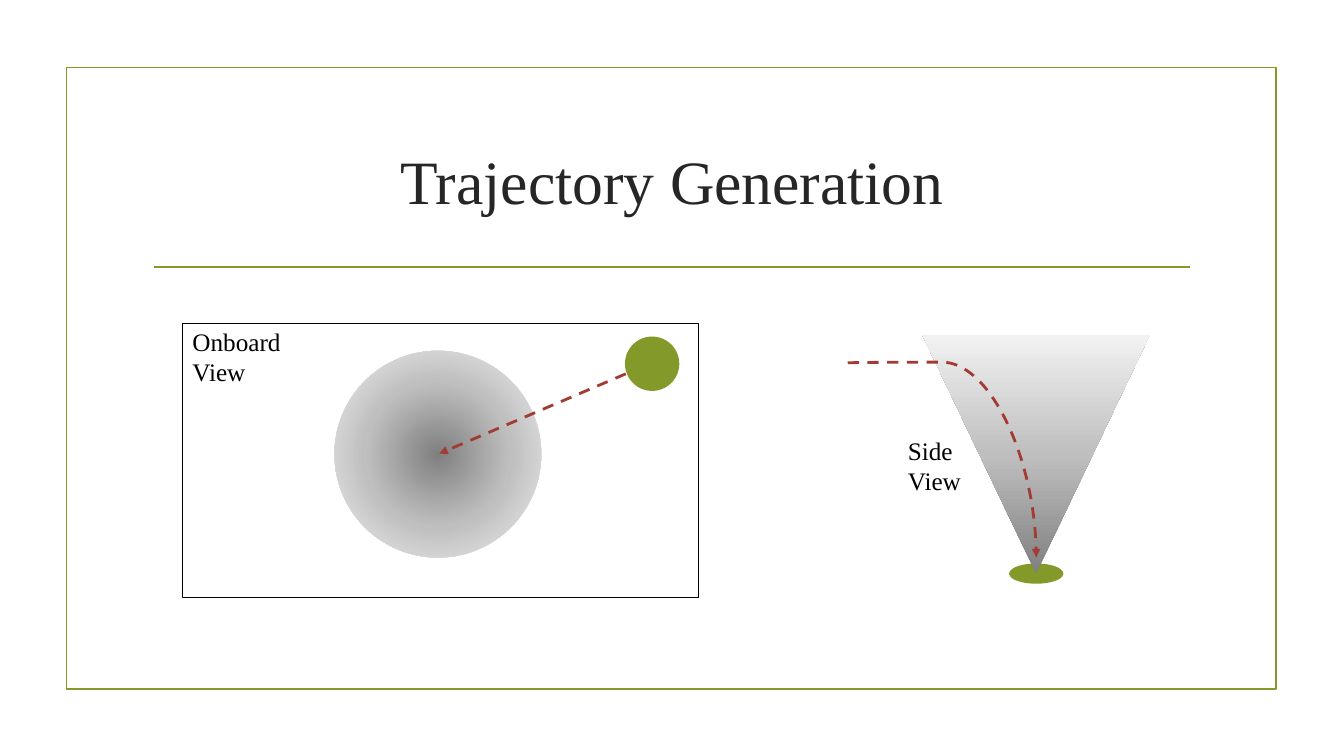
from typing import NamedTuple, Optional

from pptx import Presentation
from pptx.dml.color import RGBColor
from pptx.enum.dml import MSO_LINE_DASH_STYLE as Dash
from pptx.enum.shapes import MSO_AUTO_SHAPE_TYPE as Geom, MSO_CONNECTOR_TYPE as Conn
from pptx.enum.text import MSO_ANCHOR, PP_ALIGN
from pptx.oxml import parse_xml
from pptx.oxml.ns import nsdecls, qn
from pptx.oxml.xmlchemy import OxmlElement
from pptx.util import Cm, Pt

GREEN = RGBColor(0x83, 0x99, 0x2A)
RED = RGBColor(0xA2, 0x3C, 0x33)
BLACK = RGBColor(0, 0, 0)
TITLE_GREY = RGBColor(0x26, 0x26, 0x26)
CONE_STOPS = ((0, "808080"), (50, "BFBFBF"), (100, "F2F2F2"))
LINEAR = '<a:lin ang="5400000" scaled="0"/>'
RADIAL = ('<a:path path="circle">'
          '<a:fillToRect l="50000" t="50000" r="50000" b="50000"/></a:path>')
FONT = "Times New Roman"


class Shape(NamedTuple):
    geom: Geom
    left: float
    top: float
    width: float
    height: float
    fill: Optional[RGBColor] = None
    gradient: Optional[str] = None
    line: Optional[RGBColor] = None
    line_pt: float = 1
    rotation: float = 0


class Line(NamedTuple):
    kind: Conn
    x1: float
    y1: float
    x2: float
    y2: float
    color: RGBColor
    width_pt: float
    arrow: bool = False
    rotation: int = 0
    bend: Optional[int] = None


class Label(NamedTuple):
    text: str
    left: float
    top: float


FRAME = Shape(Geom.RECTANGLE, 1.68, 1.7, 30.48, 15.67, line=GREEN, line_pt=1.25)
TITLE_RULE = Line(Conn.STRAIGHT, 3.89, 6.73, 30, 6.73, GREEN, 1.25)
SIDE_VIEW = (
    Shape(Geom.OVAL, 25.43, 14.2, 1.37, 0.51, fill=GREEN),
    Shape(Geom.ISOSCELES_TRIANGLE, 23.24, 8.43, 5.74, 6.02, gradient=LINEAR, rotation=180),
    Line(Conn.CURVE, 26.19, 9.22, 21.29, 13.97, RED, 2, arrow=True, rotation=270, bend=-400),
)
ONBOARD_VIEW = (
    Shape(Geom.RECTANGLE, 4.6, 8.15, 13, 6.91, line=BLACK),
    Shape(Geom.OVAL, 15.75, 8.48, 1.37, 1.37, fill=GREEN, rotation=332),
    Shape(Geom.OVAL, 8.43, 8.84, 5.21, 5.21, gradient=RADIAL),
    Line(Conn.STRAIGHT, 15.77, 9.42, 11.07, 11.43, RED, 2, arrow=True),
)
LABELS = (Label("Onboard View", 4.6, 8.1), Label("Side View", 22.63, 10.85))


def set_gradient(sp, direction: str) -> None:
    """Fill with the cone greys along the given gradient direction."""
    stops = "".join(f'<a:gs pos="{pos * 1000}"><a:srgbClr val="{color}"/></a:gs>'
                    for pos, color in CONE_STOPS)
    sp.fill.gradient()
    props = sp._element.spPr
    props.replace(props.find(qn("a:gradFill")), parse_xml(
        f'<a:gradFill {nsdecls("a")} rotWithShape="1">'
        f"<a:gsLst>{stops}</a:gsLst>{direction}</a:gradFill>"))


def draw_shape(s, item: Shape) -> None:
    sp = s.shapes.add_shape(item.geom, Cm(item.left), Cm(item.top),
                            Cm(item.width), Cm(item.height))
    sp.shadow.inherit = False
    sp.rotation = item.rotation
    if item.gradient:
        set_gradient(sp, item.gradient)
    elif item.fill is not None:
        sp.fill.solid()
        sp.fill.fore_color.rgb = item.fill
    else:
        sp.fill.background()
    if item.line is not None:
        sp.line.color.rgb = item.line
        sp.line.width = Pt(item.line_pt)
    else:
        sp.line.fill.background()


def draw_line(s, item: Line) -> None:
    cxn = s.shapes.add_connector(item.kind, Cm(item.x1), Cm(item.y1),
                                 Cm(item.x2), Cm(item.y2))
    cxn.line.color.rgb = item.color
    cxn.line.width = Pt(item.width_pt)
    props = cxn._element.spPr
    if item.arrow:
        cxn.line.dash_style = Dash.DASH
        head = OxmlElement("a:tailEnd")
        head.set("type", "triangle")
        props.find(qn("a:ln")).append(head)
    if item.rotation:
        props.find(qn("a:xfrm")).set("rot", str(item.rotation * 60000))
    if item.bend is not None:
        guide = OxmlElement("a:gd")
        guide.set("name", "adj1")
        guide.set("fmla", f"val {item.bend}")
        props.find(qn("a:prstGeom")).find(qn("a:avLst")).append(guide)
    props.append(OxmlElement("a:effectLst"))


def draw(s, *items) -> None:
    for item in items:
        if isinstance(item, Shape):
            draw_shape(s, item)
        else:
            draw_line(s, item)


def format_text(tf, text: str, size: float, color: RGBColor) -> None:
    tf.text = text
    tf.word_wrap = True
    font = tf.paragraphs[0].runs[0].font
    font.name, font.size, font.color.rgb = FONT, Pt(size), color


def draw_label(s, label: Label) -> None:
    box = s.shapes.add_textbox(Cm(label.left), Cm(label.top), Cm(2.79), Cm(1.8))
    format_text(box.text_frame, label.text, 18, BLACK)


def set_title(s, text: str) -> None:
    title = s.shapes.title
    title.left, title.top = Cm(3.61), Cm(2.72)
    title.width, title.height = Cm(26.67), Cm(3.63)
    tf = title.text_frame
    format_text(tf, text, 44, TITLE_GREY)
    tf.vertical_anchor = MSO_ANCHOR.MIDDLE
    tf.paragraphs[0].alignment = PP_ALIGN.CENTER


def main() -> None:
    prs = Presentation()
    prs.slide_width, prs.slide_height = Cm(33.87), Cm(19.05)
    s = prs.slides.add_slide(prs.slide_layouts[5])
    draw(s, FRAME, TITLE_RULE)
    set_title(s, "Trajectory Generation")
    draw(s, *SIDE_VIEW, *ONBOARD_VIEW)
    for label in LABELS:
        draw_label(s, label)
    prs.save("out.pptx")


if __name__ == "__main__":
    main()
